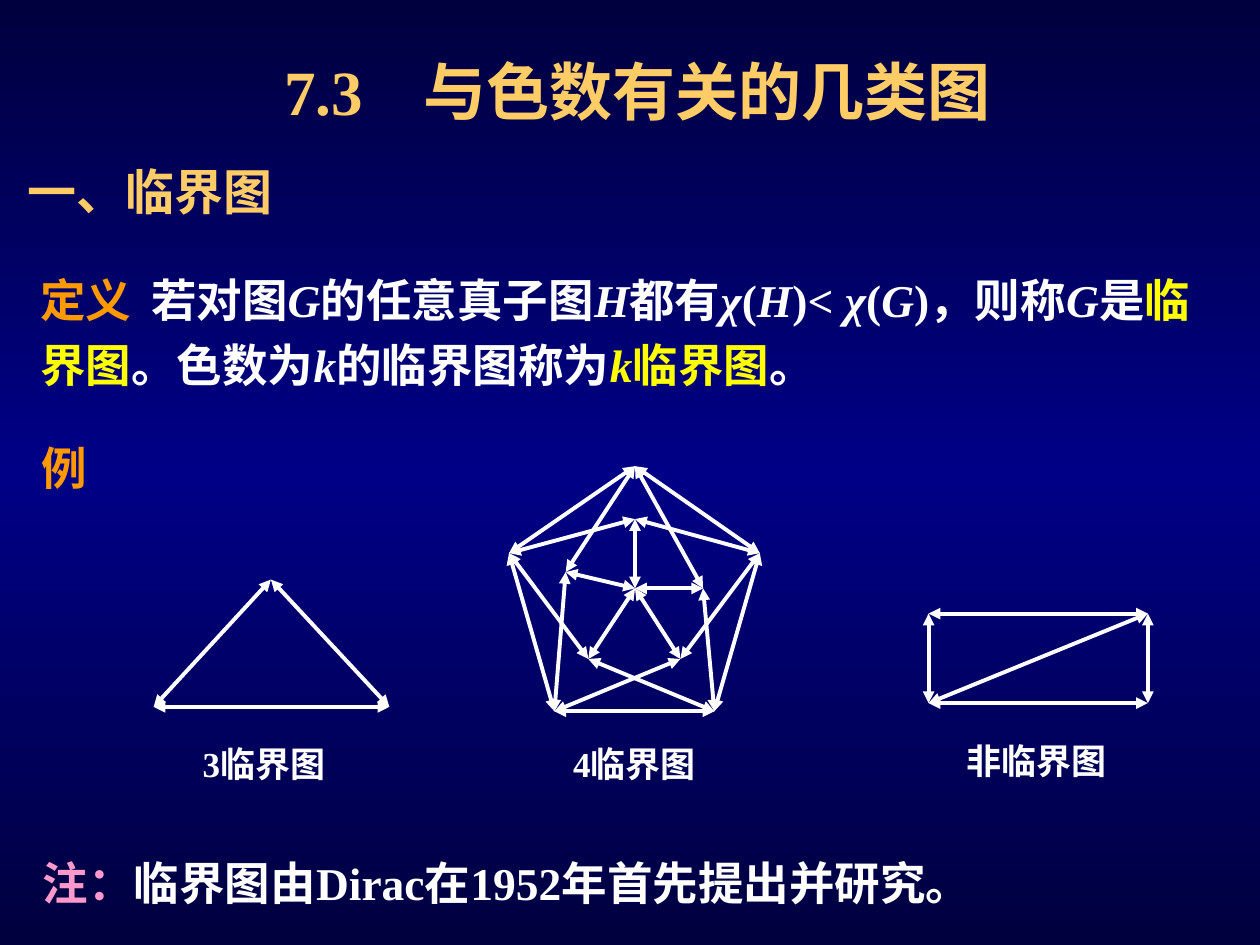
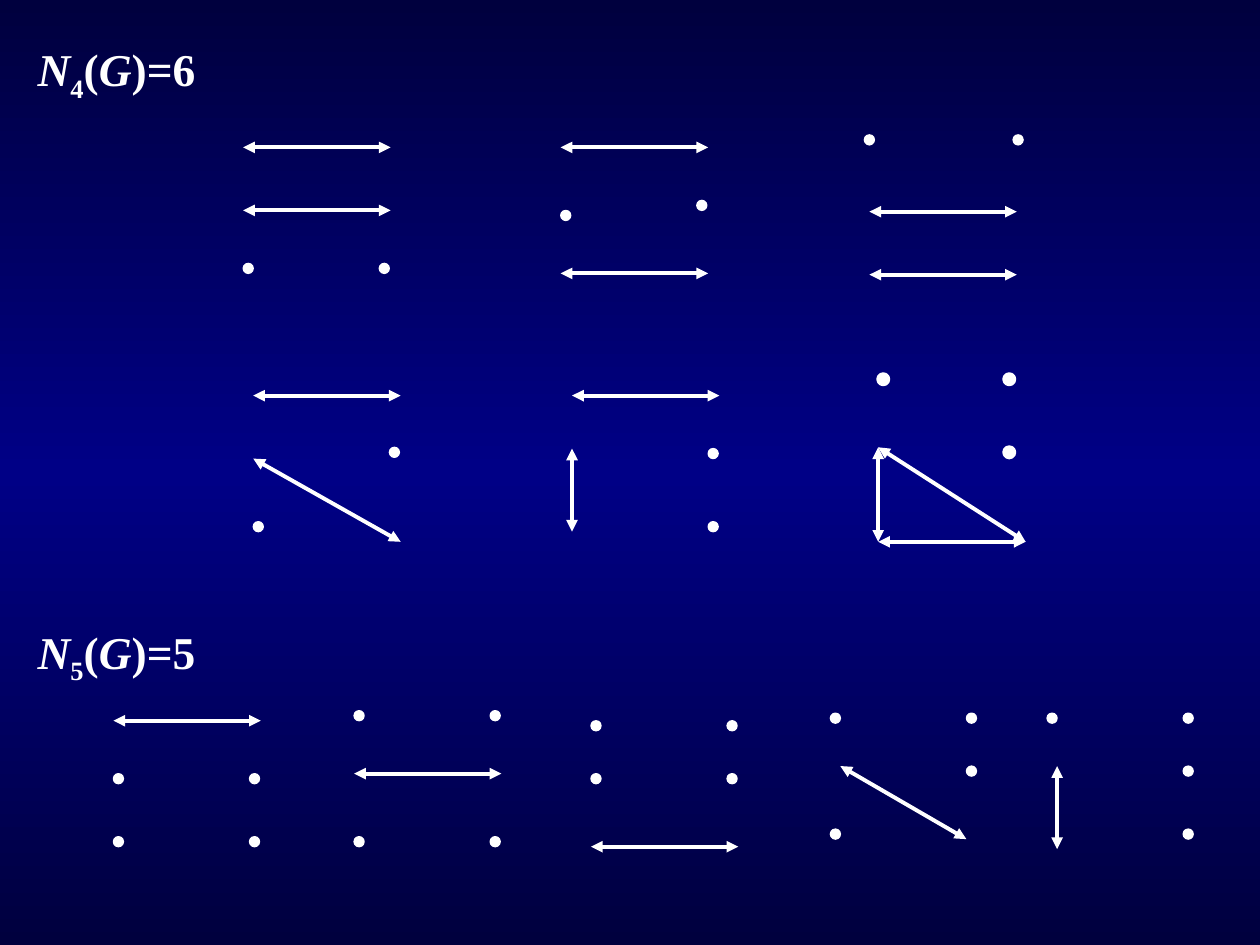
import pptx
import pptx.util
import pptx.dml.color
import pptx.enum.shapes
import pptx.oxml.ns
from lxml import etree

Inches = pptx.util.Inches
Pt = pptx.util.Pt
RGBColor = pptx.dml.color.RGBColor
qn = pptx.oxml.ns.qn

WHITE = RGBColor(0xFF, 0xFF, 0xFF)
GOLD = RGBColor(0xFF, 0xCC, 0x66)
ORANGE = RGBColor(0xFF, 0x99, 0x00)
YELLOW = RGBColor(0xFF, 0xFF, 0x00)
PINK = RGBColor(0xFF, 0x99, 0xCC)
NAVY = RGBColor(0x00, 0x00, 0x3E)
BLUE = RGBColor(0x00, 0x00, 0x86)

FONT = "Times New Roman"
DOT = 0.08
EDGE = 1.17
FAR = 1.08


def paint_background(master):
    fill = master.background.fill
    fill.gradient()
    fill.gradient_angle = 90
    stops = master.element.find(".//" + qn("a:gsLst"))
    stops.clear()
    for percent, color in ((0, NAVY), (50, BLUE), (100, NAVY)):
        stop = etree.SubElement(stops, qn("a:gs"), pos=str(percent * 1000))
        etree.SubElement(stop, qn("a:srgbClr"), val=str(color))


def add_text(page, left, top, width, height, spans, size=26, color=WHITE,
             spacing=None, tab=None):
    box = page.shapes.add_textbox(Inches(left), Inches(top), Inches(width), Inches(height))
    box.text_frame.word_wrap = True
    para = box.text_frame.paragraphs[0]
    if spacing:
        para.line_spacing = spacing
    if tab:
        tabs = etree.SubElement(para._p.get_or_add_pPr(), qn("a:tabLst"))
        etree.SubElement(tabs, qn("a:tab"), pos=str(Inches(tab)), algn="l")
    for text, changes in spans:
        span = para.add_run()
        span.text = text
        formats = {"name": FONT, "size": Pt(size), "bold": True, "color": color, **changes}
        span.font.color.rgb = formats.pop("color")
        baseline = formats.pop("baseline", None)
        for name, value in formats.items():
            setattr(span.font, name, value)
        if baseline:
            span.font._element.set("baseline", str(baseline * 1000))


def add_edge(figure, start, end):
    edge = figure.shapes.add_connector(
        pptx.enum.shapes.MSO_CONNECTOR.STRAIGHT,
        *(Inches(value) for value in (*start, *end)))
    edge.line.color.rgb = WHITE
    edge.line.width = Pt(2.25)
    line = edge.line._get_or_add_ln()
    for name in ("a:headEnd", "a:tailEnd"):
        etree.SubElement(line, qn(name), type="triangle")
    etree.SubElement(edge._element.spPr, qn("a:effectLst"))


def add_dot(figure, left, top, outline):
    dot = figure.shapes.add_shape(pptx.enum.shapes.MSO_SHAPE.OVAL, Inches(left),
                                  Inches(top), Inches(DOT), Inches(DOT))
    dot.shadow.inherit = False
    dot.fill.solid()
    dot.fill.fore_color.rgb = WHITE
    dot.line.color.rgb = WHITE
    dot.line.width = Pt(outline)


def add_graph(page, vertices, edges):
    figure = page.shapes.add_group_shape()
    for start, end in edges.split():
        add_edge(figure, vertices[start], vertices[end])


def add_subgraph(page, left, top, edges, dots, outline=0.75):
    figure = page.shapes.add_group_shape()
    for x1, y1, x2, y2 in edges:
        add_edge(figure, (left + x1, top + y1), (left + x2, top + y2))
    for x, y in dots:
        add_dot(figure, left + x, top + y, outline)


def level(y):
    return (0, y, EDGE, y)


def pair(y):
    return [(0, y), (FAR, y)]


def add_count(page, top, order, count):
    italic = {"italic": True}
    add_text(page, 0.2, top, 1.73, 0.6, [
        ("N", italic), (order, {"baseline": -25}), ("(", {}), ("G", italic),
        (f")={count}", {})])


def build_critical_graphs(page):
    italic = {"italic": True}
    yellow = {"color": YELLOW}
    add_text(page, 2.16, 0.37, 5.9, 0.7,
             [("7.3\t", {}), ("与色数有关的几类图", {"name": "DejaVu Sans"})],
             size=36, color=GOLD, tab=1.1)
    add_text(page, 0.12, 1.23, 4.65, 0.57, [("一、临界图", {})], size=28, color=GOLD)
    add_text(page, 0.22, 2.02, 9.52, 1.14, [
        ("定义\t", {"color": ORANGE}), ("若对图", {}), ("G", italic),
        ("的任意真子图", {}), ("H", italic), ("都有", {}), ("χ", italic), ("(", {}),
        ("H", italic), (")", {}), ("< χ", italic), ("(", {}), ("G", italic),
        (")，则称", {}), ("G", italic), ("是", {}), ("临界图", yellow),
        ("。色数为", {}), ("k", italic), ("的临界图称为", {}),
        ("k", {**italic, **yellow}), ("临界图", yellow), ("。", {})],
        spacing=1.2, tab=0.88)
    add_text(page, 0.23, 3.44, 0.79, 0.54, [("例", {})], color=ORANGE)

    triangle = {"A": (2.15, 4.6), "B": (1.22, 5.61), "C": (3.09, 5.61)}
    add_graph(page, triangle, "AB BC AC")

    wheel = {
        "A": (5.04, 3.7), "B": (4.04, 4.39), "C": (4.4, 5.645), "D": (5.67, 5.645),
        "E": (6.03, 4.39), "a": (5.04, 4.12), "b": (4.49, 4.54), "c": (4.67, 5.23),
        "d": (5.4, 5.23), "e": (5.58, 4.67), "o": (5.04, 4.67)}
    add_graph(page, wheel, "AB BC CD DE AE Ab Ae Ba Bc Cb Cd Dc De Ea Ed oa bo co do oe")

    rectangle = {"A": (7.37, 4.87), "B": (9.11, 4.87), "C": (9.11, 5.58), "D": (7.37, 5.58)}
    add_graph(page, rectangle, "AB AD DC BC DB")

    for left, top, width, caption in (
            (1.51, 5.84, 1.26, "3临界图"), (4.45, 5.84, 1.58, "4临界图"),
            (7.57, 5.82, 1.36, "非临界图")):
        add_text(page, left, top, width, 0.44, [(caption, {})], size=20)
    add_text(page, 0.24, 6.74, 9.29, 0.54, [
        ("注：", {"color": PINK}), ("临界图由Dirac在1952年首先提出并研究。", {})])


def build_subgraph_counts(page):
    add_count(page, 0.28, "4", 6)
    add_subgraph(page, 1.93, 1.17, [level(0), level(0.5)], pair(0.92))
    add_subgraph(page, 4.45, 1.17, [level(0), level(1)], [(0, 0.5), (FAR, 0.42)])
    add_subgraph(page, 6.9, 1.18, [level(0.5), level(1)], [(-0.04, -0.11), (1.14, -0.11)])
    add_subgraph(page, 2.01, 3.14, [level(0), (0, 0.5, EDGE, 1.16)], [(0, 1), (FAR, 0.41)])
    add_subgraph(page, 4.54, 3.14, [level(0), (0, 0.42, 0, 1.08)], [(FAR, 1), (FAR, 0.42)])
    add_subgraph(page, 6.97, 2.97,
                 [level(1.33), (0, 0.58, 0, 1.33), (0, 0.58, EDGE, 1.33)],
                 [(0, 0), (1, 0), (1, 0.58)], outline=2.25)

    add_count(page, 4.9, "5", 5)
    add_subgraph(page, 0.9, 5.72, [level(0)], pair(0.42) + pair(0.92))
    add_subgraph(page, 2.81, 5.64, [level(0.5)], pair(0) + pair(1))
    add_subgraph(page, 4.69, 5.72, [level(1)], pair(0) + pair(0.42))
    add_subgraph(page, 6.59, 5.66, [(DOT, 0.42, FAR, 1)],
                 pair(0) + [(FAR, 0.42), (0, 0.92)])
    add_subgraph(page, 8.31, 5.66, [(DOT, 0.42, DOT, 1.08)],
                 pair(0) + [(FAR, 0.42), (FAR, 0.92)])


def main():
    deck = pptx.Presentation()
    deck.slide_width = Inches(10)
    deck.slide_height = Inches(7.5)
    paint_background(deck.slide_master)
    for build in (build_critical_graphs, build_subgraph_counts):
        build(deck.slides.add_slide(deck.slide_layouts[6]))
    deck.save("out.pptx")


if __name__ == "__main__":
    main()
